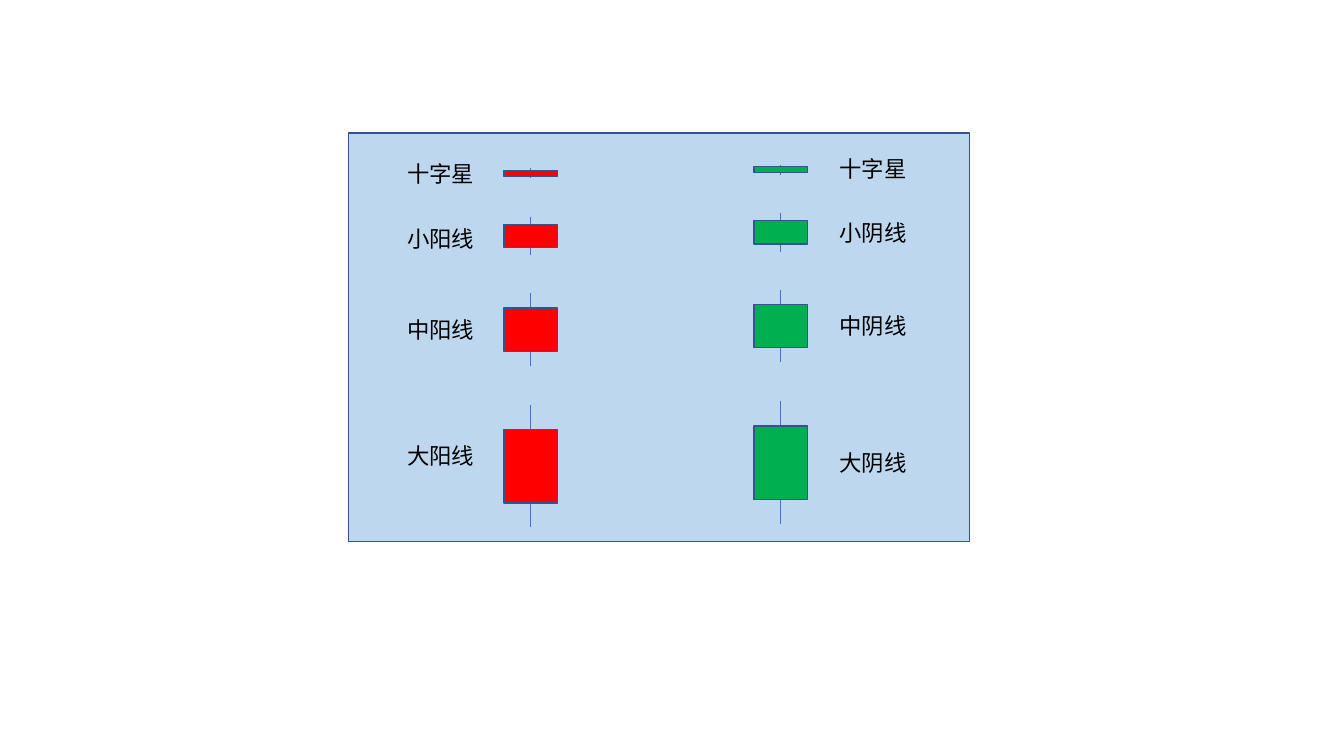
"""Draw a chart of candlestick sizes, rising on the left and falling on the right."""
from dataclasses import dataclass

from lxml import etree
from pptx import Presentation
from pptx import util as u
from pptx.dml.color import RGBColor
from pptx.enum import shapes, text
from pptx.oxml.ns import qn

CELL = u.Inches(0.1)
COLUMNS, ROWS = 133.33, 75
FONT = "Noto Sans CJK SC"
OUTLINE, WICK, PANEL, INK = "325491", "4472C4", "BDD7EE", "000000"
BODY_WIDTH = 5.3
WICK_RATIO = 5 / 3
LABEL_WIDTH, LABEL_HEIGHT = 8.9, 3.7


@dataclass(frozen=True)
class Candle:
    size: str
    middle: float
    height: float


@dataclass(frozen=True)
class Side:
    kind: str
    fill: str
    body_left: float
    label_left: float
    rise: float
    label_middles: tuple[float, ...]


CANDLES = (
    Candle("十字星", 17.2, 0.6),
    Candle("小{}线", 23.4, 2.3),
    Candle("中{}线", 32.7, 4.3),
    Candle("大{}线", 46.25, 7.3),
)
SIDES = (
    Side("阳", "FF0000", 50, 39.4, 0, (17.25, 23.65, 32.75, 45.25)),
    Side("阴", "00B050", 74.8, 82.3, 0.35, (16.75, 23.05, 32.35, 45.95)),
)


def cells(count: float) -> int:
    return round(count * CELL)


def colour(value: str) -> RGBColor:
    return RGBColor.from_string(value)


def add_box(parent, left: float, top: float, width: float, height: float, fill: str) -> None:
    box = parent.add_shape(shapes.MSO_SHAPE.RECTANGLE, *map(cells, (left, top, width, height)))
    box.shadow.inherit = False
    box.fill.solid()
    box.fill.fore_color.rgb = colour(fill)
    box.line.color.rgb = colour(OUTLINE)
    box.line.width = u.Pt(1)


def add_wick(parent, x: float, middle: float, height: float) -> None:
    ends = map(cells, (x, middle - height / 2, x, middle + height / 2))
    wick = parent.add_connector(shapes.MSO_CONNECTOR.STRAIGHT, *ends)
    wick.line.color.rgb = colour(WICK)
    wick.line.width = u.Pt(0.5)
    etree.SubElement(wick._element.spPr, qn("a:effectLst"))


def add_candle(parent, candle: Candle, side: Side) -> None:
    middle = candle.middle - side.rise
    add_wick(parent, side.body_left + BODY_WIDTH / 2, middle, candle.height * WICK_RATIO)
    add_box(parent, side.body_left, middle - candle.height / 2, BODY_WIDTH, candle.height, side.fill)


def add_label(parent, label: str, left: float, middle: float) -> None:
    place = (left, middle - LABEL_HEIGHT / 2, LABEL_WIDTH, LABEL_HEIGHT)
    frame = parent.add_textbox(*map(cells, place)).text_frame
    frame.text = label
    frame.word_wrap = True
    frame.auto_size = text.MSO_AUTO_SIZE.SHAPE_TO_FIT_TEXT
    span = frame.paragraphs[0].runs[0]
    span.font.size = u.Pt(16)
    span.font.color.rgb = colour(INK)
    span.font.name = FONT
    etree.SubElement(span.font._element, qn("a:ea")).set("typeface", FONT)


def main() -> None:
    deck = Presentation()
    deck.slide_width, deck.slide_height = cells(COLUMNS), cells(ROWS)
    page = deck.slides.add_slide(deck.slide_layouts[6])
    add_box(page.shapes, 34.6, 13.2, 61.6, 40.5, PANEL)
    for side in SIDES:
        group = page.shapes.add_group_shape()
        for candle, label_middle in zip(CANDLES, side.label_middles):
            add_candle(group.shapes, candle, side)
            add_label(page.shapes, candle.size.format(side.kind), side.label_left, label_middle)
    deck.save("out.pptx")


if __name__ == "__main__":
    main()
